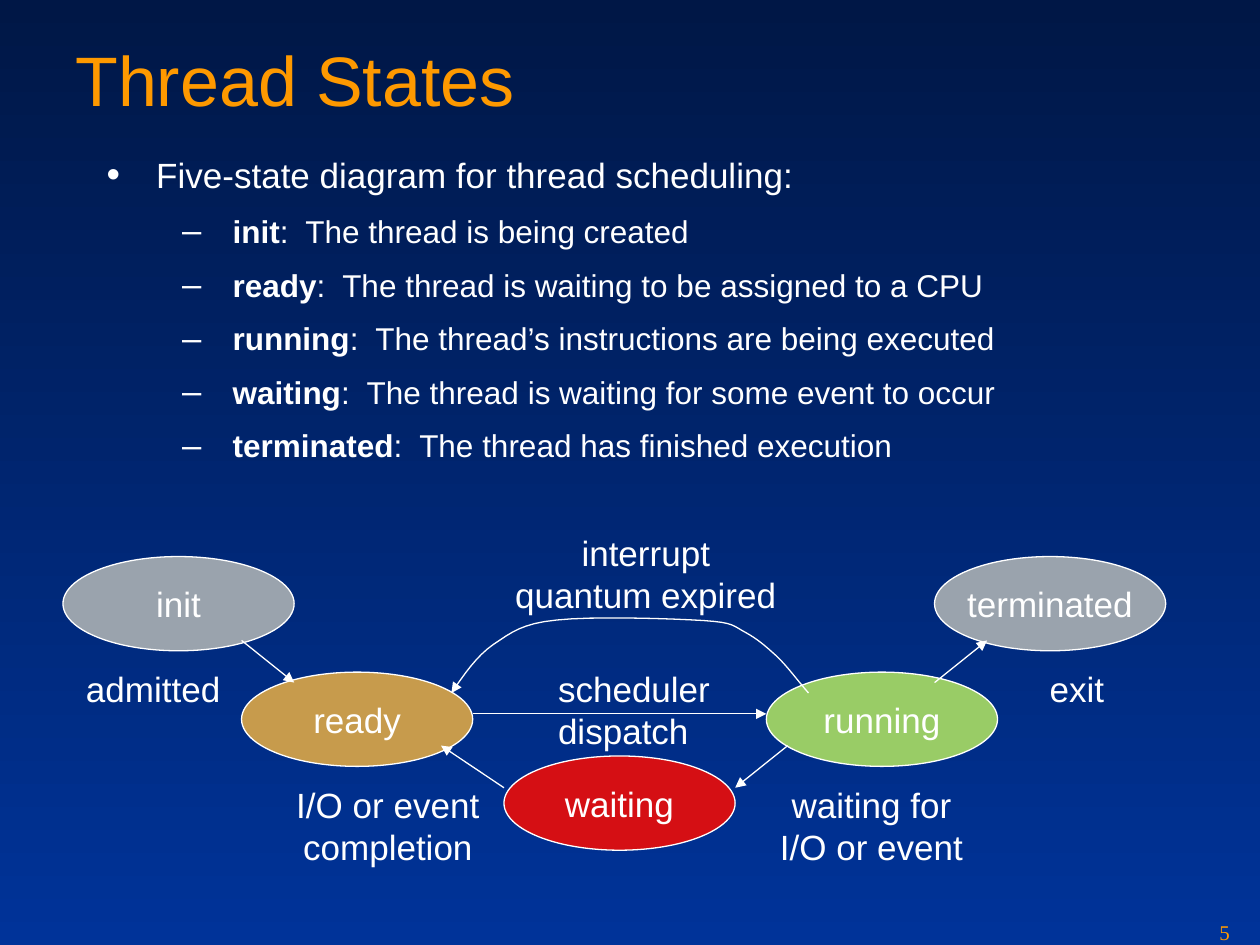
from lxml import etree
from pptx import Presentation
from pptx.dml.color import RGBColor
from pptx.enum.shapes import MSO_CONNECTOR, MSO_SHAPE
from pptx.enum.text import MSO_ANCHOR, MSO_AUTO_SIZE, PP_ALIGN
from pptx.oxml.ns import qn
from pptx.util import Cm, Pt

LEFT, CENTER = PP_ALIGN.LEFT, PP_ALIGN.CENTER
TOP, MIDDLE = MSO_ANCHOR.TOP, MSO_ANCHOR.MIDDLE
FIXED, GROW = MSO_AUTO_SIZE.NONE, MSO_AUTO_SIZE.SHAPE_TO_FIT_TEXT
ELLIPSE, STRAIGHT = MSO_SHAPE.OVAL, MSO_CONNECTOR.STRAIGHT

COLORS = {
    "navy": "001746", "blue": "003399", "orange": "FE9900", "white": "FFFFFF",
    "gray": "9AA3AD", "tan": "C79B4C", "red": "D50F14", "green": "99CC66",
}

TITLE = "Thread States"
PAGE_NUMBER = "5"
INTRO = "Five-state diagram for thread scheduling:"
DEFINITIONS = [
    ("init", "The thread is being created"),
    ("ready", "The thread is waiting to be assigned to a CPU"),
    ("running", "The thread’s instructions are being executed"),
    ("waiting", "The thread is waiting for some event to occur"),
    ("terminated", "The thread has finished execution"),
]

# All positions are in centimetres.
STATE_SIZE = (4.66, 1.9)
STATES = [  # name, left, top, color
    ("init", 1.27, 11.22, "gray"),
    ("ready", 4.87, 13.55, "tan"),
    ("waiting", 10.16, 15.24, "red"),
    ("running", 15.45, 13.55, "green"),
    ("terminated", 18.84, 11.22, "gray"),
]
LABELS = [  # text (\v breaks a line), left, top, width, height, alignment
    ("scheduler\vdispatch", 11, 13.34, 3.66, 1.96, LEFT),
    ("waiting for\nI/O or event", 15.42, 15.67, 4.3, 1.96, CENTER),
    ("I/O or event\vcompletion", 5.67, 15.67, 4.3, 1.96, CENTER),
    ("interrupt\vquantum expired", 10.08, 10.59, 5.88, 1.96, CENTER),
    ("admitted", 1.42, 13.34, 3.34, 1.12, CENTER),
    ("exit", 20.86, 13.34, 1.7, 1.12, CENTER),
]
TRANSITIONS = [  # start, end
    ((9.53, 14.39), (15.45, 14.39)),
    ((15.88, 15.03), (14.82, 15.88)),
    ((10.16, 15.88), (8.89, 15.03)),
    ((18.84, 13.76), (19.9, 12.91)),
    ((4.87, 12.91), (5.93, 13.76)),
]
INTERRUPT_START = (16.3, 13.97)
INTERRUPT_CURVES = [  # two control points and an end point
    ((16.08, 13.72), (15.88, 13.44), (15.66, 13.23)),
    ((15.44, 13.03), (15.27, 12.88), (15.03, 12.75)),
    ((14.78, 12.62), (14.81, 12.55), (14.18, 12.51)),
    ((13.55, 12.47), (11.92, 12.42), (11.22, 12.5)),
    ((10.52, 12.57), (10.31, 12.75), (9.95, 12.99)),
    ((9.6, 13.23), (9.35, 13.61), (9.1, 13.97)),
]
CURVE_STEPS = 8


def rgb(name):
    return RGBColor.from_string(COLORS[name])


def style(para, size, color="white", font="Arial"):
    para.font.size = Pt(size)
    para.font.name = font
    para.font.color.rgb = rgb(color)


def fill_text(shape, text, size, align=LEFT, anchor=TOP, wrap=False, fit=FIXED, **font):
    frame = shape.text_frame
    frame.word_wrap = wrap
    frame.auto_size = fit
    frame.vertical_anchor = anchor
    frame.text = text
    for para in frame.paragraphs:
        para.alignment = align
        style(para, size, **font)


def add_text(page, place, text, size, **options):
    box = page.shapes.add_textbox(*map(Cm, place))
    fill_text(box, text, size, **options)


def add_bullet(para, char, indent, hanging):
    props = para._p.get_or_add_pPr()
    props.set("marL", str(Cm(indent)))
    props.set("indent", str(-Cm(hanging)))
    color = etree.SubElement(props, qn("a:buClr"))
    etree.SubElement(color, qn("a:srgbClr"), val=COLORS["white"])
    etree.SubElement(props, qn("a:buSzPct"), val="110000")
    etree.SubElement(props, qn("a:buFont"), typeface="Arial")
    etree.SubElement(props, qn("a:buChar"), char=char)


def add_definitions(page):
    box = page.shapes.add_textbox(Cm(1.9), Cm(2.97), Cm(21.8), Cm(7.62))
    frame = box.text_frame
    frame.word_wrap = True
    intro = frame.paragraphs[0]
    intro.text = INTRO
    intro.space_after = Pt(5)
    add_bullet(intro, "•", 1, 1)
    style(intro, 20)
    for term, meaning in DEFINITIONS:
        para = frame.add_paragraph()
        para.level = 1
        para.space_before = para.space_after = Pt(4.5)
        add_bullet(para, "–", 2.54, 1.02)
        style(para, 18)
        span = para.add_run()
        span.text = term
        span.font.bold = True
        para.add_run().text = f":  {meaning}"


def style_arrow(arrow):
    arrow.line.color.rgb = rgb("white")
    arrow.line.width = Pt(0.75)
    etree.SubElement(arrow.line._get_or_add_ln(), qn("a:tailEnd"), type="triangle")


def add_transition(page, start, end):
    arrow = page.shapes.add_connector(STRAIGHT, *map(Cm, start + end))
    style_arrow(arrow)
    etree.SubElement(arrow._element.spPr, qn("a:effectLst"))


def curve_points(start, curves):
    """Return points along a chain of cubic Bezier curves."""
    points = []
    for first, second, end in curves:
        for step in range(1, CURVE_STEPS + 1):
            t = step / CURVE_STEPS
            u = 1 - t
            points.append(tuple(
                Cm(u**3 * a + 3 * u * u * t * b + 3 * u * t * t * c + t**3 * d)
                for a, b, c, d in zip(start, first, second, end)))
        start = end
    return points


def add_interrupt(page):
    builder = page.shapes.build_freeform(*map(Cm, INTERRUPT_START))
    builder.add_line_segments(curve_points(INTERRUPT_START, INTERRUPT_CURVES), close=False)
    arrow = builder.convert_to_shape()
    arrow.shadow.inherit = False
    arrow.fill.background()
    style_arrow(arrow)


def add_state(page, name, left, top, color):
    state = page.shapes.add_shape(ELLIPSE, *map(Cm, (left, top) + STATE_SIZE))
    state.shadow.inherit = False
    state.fill.solid()
    state.fill.fore_color.rgb = rgb(color)
    state.line.color.rgb = rgb("white")
    state.line.width = Pt(0.75)
    fill_text(state, name, 20, align=CENTER, anchor=MIDDLE)


def main():
    deck = Presentation()
    deck.slide_width, deck.slide_height = Cm(25.4), Cm(19.05)
    page = deck.slides.add_slide(deck.slide_layouts[6])
    backdrop = page.background.fill
    backdrop.gradient()
    backdrop.gradient_angle = 270
    for stop, color in zip(backdrop.gradient_stops, ("navy", "blue")):
        stop.color.rgb = rgb(color)

    add_text(page, (1.27, 0.61, 19.86, 3.18), TITLE, 40, wrap=True, color="orange")
    add_definitions(page)
    for state in STATES:
        add_state(page, *state)
    for text, *place, align in LABELS:
        add_text(page, place, text, 20, align=align, fit=GROW)
    for start, end in TRANSITIONS:
        add_transition(page, start, end)
    add_interrupt(page)
    add_text(page, (24.33, 18.42, 1.07, 0.64), PAGE_NUMBER, 12, wrap=True,
             color="orange", font="Times New Roman")
    deck.save("out.pptx")


if __name__ == "__main__":
    main()
